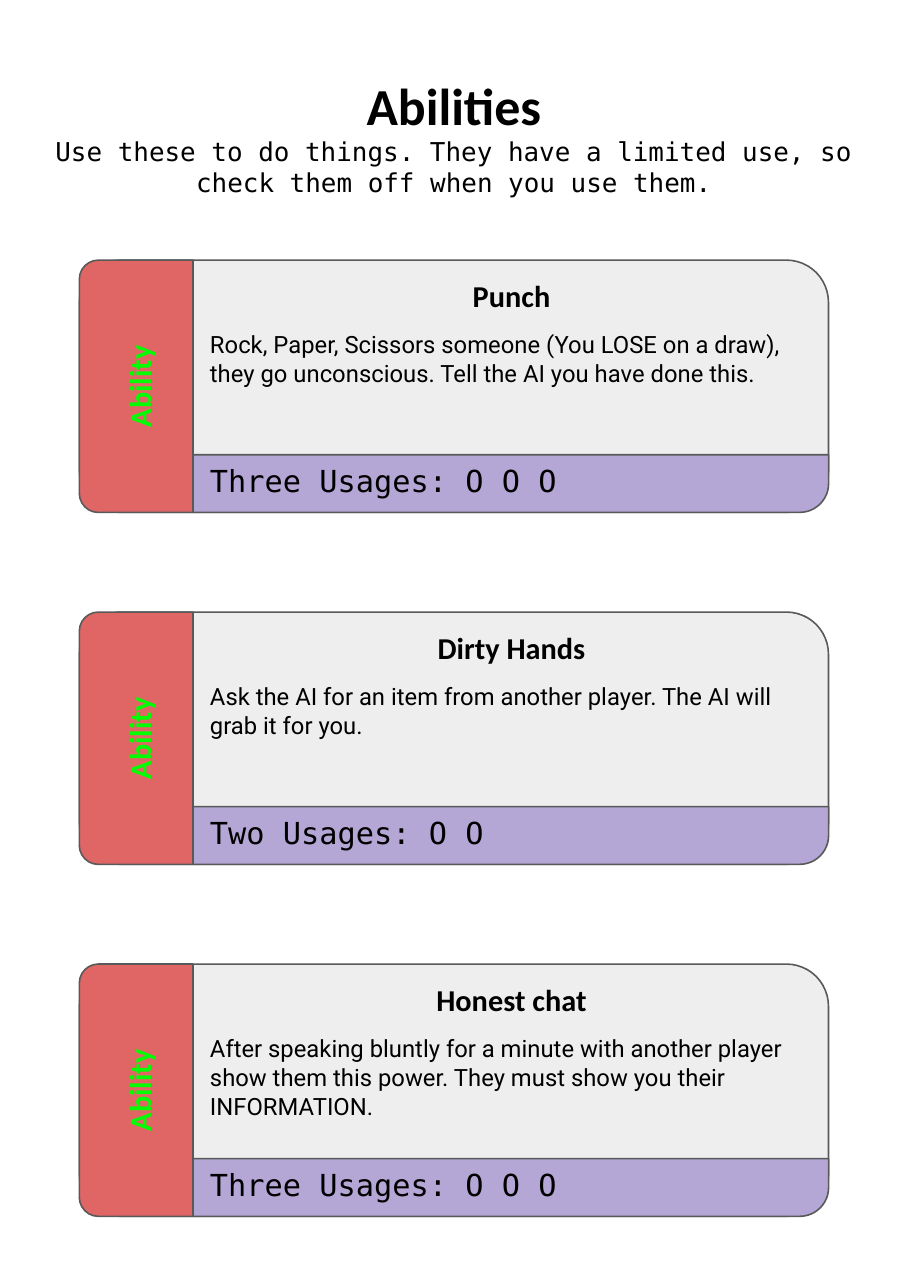
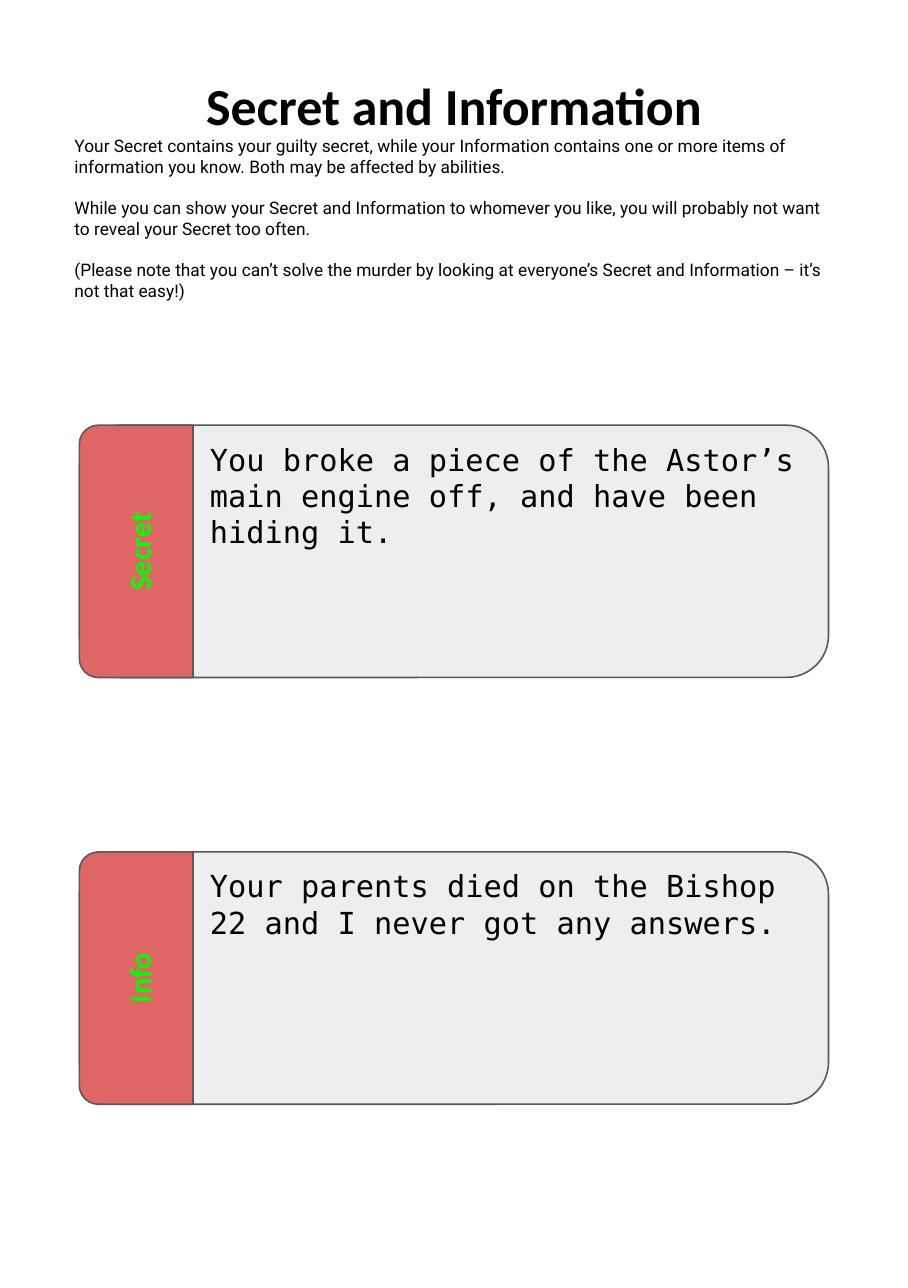
"""Build two portrait character sheets: ability cards, then secret and information cards."""
from pptx import Presentation
from pptx.dml.color import RGBColor
from pptx.enum.shapes import MSO_SHAPE
from pptx.enum.text import MSO_ANCHOR, PP_ALIGN
from pptx.util import Inches, Pt

COLORS = {"panel": "EEEEEE", "tab": "E06666", "usage": "B4A7D6",
          "line": "595959", "text": "000000", "label": "00FF00"}
STYLES = {
    "title": {"name": "Calibri", "size": Pt(24), "bold": True},
    "heading": {"name": "Calibri", "size": Pt(14), "bold": True},
    "subtitle": {"name": "DejaVu Sans Mono", "size": Pt(12), "bold": False},
    "mono": {"name": "DejaVu Sans Mono", "size": Pt(14), "bold": False},
    "body": {"name": "Roboto", "size": Pt(11), "bold": False},
    "note": {"name": "Roboto", "size": Pt(8), "bold": False},
}
LEFT, CENTER = PP_ALIGN.LEFT, PP_ALIGN.CENTER

WIDTH, HEIGHT = 5.83, 8.27
CARD_LEFT, CARD_WIDTH, CARD_HEIGHT = 0.51, 4.81, 1.62
TAB_WIDTH, BAR_HEIGHT, INSET = 0.73, 0.37, 0.1
TEXT_LEFT = CARD_LEFT + TAB_WIDTH + 0.01
TEXT_WIDTH = CARD_LEFT + CARD_WIDTH - TEXT_LEFT
HEADER_TOP, HEADER_HEIGHT = 0.37, 0.91
NOTE_GAP = 9.4

SHEETS = [
    {"title": "Abilities", "margin": 0.23, "intro_style": "subtitle", "intro_align": CENTER,
     "intro": ["Use these to do things. They have a limited use, so check them off when you use them."],
     "first_top": 1.67, "step": 2.26,
     "cards": [
         {"label": "Ability", "heading": "Punch", "usage": "Three Usages: O O O",
          "text": "Rock, Paper, Scissors someone (You LOSE on a draw), they go unconscious. "
                  "Tell the AI you have done this."},
         {"label": "Ability", "heading": "Dirty Hands", "usage": "Two Usages: O O",
          "text": "Ask the AI for an item from another player. The AI will grab it for you."},
         {"label": "Ability", "heading": "Honest chat", "usage": "Three Usages: O O O",
          "text": "After speaking bluntly for a minute with another player show them this power. "
                  "They must show you their INFORMATION."},
     ]},
    {"title": "Secret and Information", "margin": 0.38, "intro_style": "note", "intro_align": LEFT,
     "intro": [
         "Your Secret contains your guilty secret, while your Information contains one or more "
         "items of information you know. Both may be affected by abilities.",
         "While you can show your Secret and Information to whomever you like, you will probably "
         "not want to reveal your Secret too often.",
         "(Please note that you can’t solve the murder by looking at everyone’s Secret and "
         "Information – it’s not that easy!)"],
     "first_top": 2.73, "step": 2.74,
     "cards": [
         {"label": "Secret",
          "text": "You broke a piece of the Astor’s main engine off, and have been hiding it."},
         {"label": "Info",
          "text": "Your parents died on the Bishop 22 and I never got any answers."},
     ]},
]


def rgb(name):
    return RGBColor.from_string(COLORS[name])


def write(shape, entries, color="text", anchor=MSO_ANCHOR.TOP):
    """Fill a shape with (text, style, alignment, space before) paragraphs."""
    frame = shape.text_frame
    settings = {"word_wrap": True, "vertical_anchor": anchor}
    settings.update({f"margin_{side}": Inches(INSET) for side in ("left", "top", "right", "bottom")})
    for name, value in settings.items():
        setattr(frame, name, value)
    for index, (text, style, alignment, gap) in enumerate(entries):
        paragraph = frame.add_paragraph() if index else frame.paragraphs[0]
        paragraph.alignment = alignment
        paragraph.space_before = Pt(gap)
        run = paragraph.add_run()
        run.text = text
        for name, value in STYLES[style].items():
            setattr(run.font, name, value)
        run.font.color.rgb = rgb(color)


def add_text(shapes, box, entries):
    write(shapes.add_textbox(*map(Inches, box)), entries)


def add_panel(shapes, kind, box, fill, adjustments, rotation=0):
    """Add an outlined shape that covers the box as seen after its rotation."""
    left, top, width, height = box
    if rotation:
        shift = (width - height) / 2
        left, top, width, height = left + shift, top - shift, height, width
    shape = shapes.add_shape(kind, *map(Inches, (left, top, width, height)))
    shape.rotation = rotation
    shape.shadow.inherit = False
    shape.fill.solid()
    shape.fill.fore_color.rgb = rgb(fill)
    shape.line.color.rgb = rgb("line")
    shape.line.width = Pt(0.75)
    for index, value in enumerate(adjustments):
        shape.adjustments[index] = value
    return shape


def add_card(slide, card, top):
    shapes = slide.shapes.add_group_shape().shapes
    add_panel(shapes, MSO_SHAPE.ROUNDED_RECTANGLE,
              (CARD_LEFT, top, CARD_WIDTH, CARD_HEIGHT), "panel", [0.167])
    tab = add_panel(shapes, MSO_SHAPE.ROUND_2_SAME_RECTANGLE,
                    (CARD_LEFT, top, TAB_WIDTH, CARD_HEIGHT), "tab", [0.167, 0], 270)
    write(tab, [(card["label"], "heading", CENTER, 0)], "label", MSO_ANCHOR.MIDDLE)
    if "usage" not in card:
        add_text(shapes, (TEXT_LEFT, top, TEXT_WIDTH, CARD_HEIGHT), [(card["text"], "mono", LEFT, 0)])
        return
    add_panel(shapes, MSO_SHAPE.ROUND_1_RECTANGLE,
              (TEXT_LEFT - 0.01, top + CARD_HEIGHT - BAR_HEIGHT, TEXT_WIDTH + 0.01, BAR_HEIGHT),
              "usage", [0.5], 90)
    rows = [("heading", "heading", CENTER, 0.01, 0.47),
            ("text", "body", LEFT, 0.35, 0.52),
            ("usage", "mono", LEFT, 1.2, 0.47)]
    for key, style, alignment, offset, height in rows:
        add_text(shapes, (TEXT_LEFT, top + offset, TEXT_WIDTH, height),
                 [(card[key], style, alignment, 0)])


def add_sheet(presentation, sheet):
    slide = presentation.slides.add_slide(presentation.slide_layouts[6])
    margin = sheet["margin"]
    header = [(sheet["title"], "title", CENTER, 0)]
    header += [(text, sheet["intro_style"], sheet["intro_align"], NOTE_GAP if index else 0)
               for index, text in enumerate(sheet["intro"])]
    add_text(slide.shapes, (margin, HEADER_TOP, WIDTH - 2 * margin, HEADER_HEIGHT), header)
    for index, card in enumerate(sheet["cards"]):
        add_card(slide, card, sheet["first_top"] + index * sheet["step"])


def main():
    presentation = Presentation()
    presentation.slide_width, presentation.slide_height = Inches(WIDTH), Inches(HEIGHT)
    for sheet in SHEETS:
        add_sheet(presentation, sheet)
    presentation.save("out.pptx")


if __name__ == "__main__":
    main()
